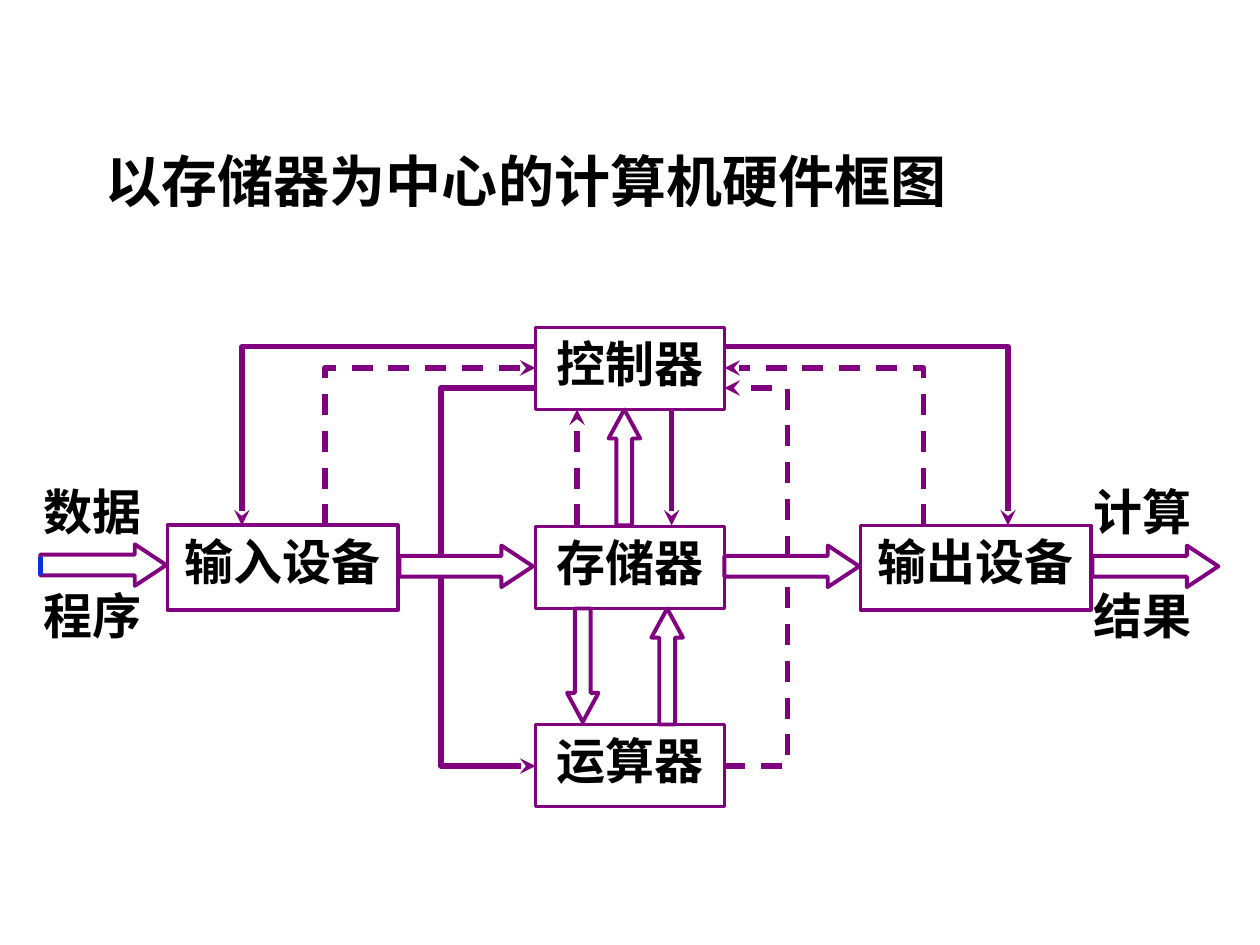
from lxml import etree
from pptx import Presentation
from pptx.dml.color import RGBColor
from pptx.enum.dml import MSO_LINE
from pptx.enum.shapes import MSO_CONNECTOR, MSO_SHAPE
from pptx.enum.text import MSO_ANCHOR, MSO_AUTO_SIZE, PP_ALIGN
from pptx.oxml.ns import qn
from pptx.util import Inches, Pt

THEME = {
    "title_font": "Times New Roman",
    "font": "Noto Sans CJK SC",
    "title_size": 32,
    "size": 28,
    "text": RGBColor(0x00, 0x00, 0x00),
    "line": RGBColor(0x80, 0x00, 0x80),
    "tick": RGBColor(0x00, 0x33, 0xD8),
    "box_line": 2,
    "block_line": 2.25,
    "signal_line": 3,
}

TITLE = ("以存储器为中心的计算机硬件框图", (0.74, 1.11, 6.96, 0.64))

LABELS = [
    ("数据", 0.25, 3.77),
    ("程序", 0.25, 4.6),
    ("计算", 8.58, 3.77),
    ("结果", 8.58, 4.6),
]

UNITS = [
    ("控制器", 4.25, 2.6, 1.5, 0.65, 2),
    ("存储器", 4.25, 4.18, 1.5, 0.65, 2),
    ("运算器", 4.25, 5.75, 1.5, 0.65, 2),
    ("输入设备", 1.33, 4.17, 1.83, 0.67, 2.25),
    ("输出设备", 6.83, 4.17, 1.83, 0.67, 2),
]

DATA_ARROWS = [
    (MSO_SHAPE.RIGHT_ARROW, 0.32, 4.32, 1, 0.33),
    (MSO_SHAPE.RIGHT_ARROW, 3.17, 4.33, 1.06, 0.33),
    (MSO_SHAPE.RIGHT_ARROW, 5.75, 4.33, 1.07, 0.33),
    (MSO_SHAPE.RIGHT_ARROW, 8.67, 4.33, 1, 0.33),
    (MSO_SHAPE.UP_ARROW, 4.83, 3.25, 0.25, 0.92),
    (MSO_SHAPE.UP_ARROW, 5.17, 4.83, 0.25, 0.92),
    (MSO_SHAPE.DOWN_ARROW, 4.5, 4.83, 0.25, 0.9),
]
ARROWHEAD_LENGTH = {MSO_SHAPE.RIGHT_ARROW: 0.25}
VERTICAL_HEAD_LENGTH = 0.23

# points, dashed, arrowhead
SIGNALS = [
    ([(3.5, 4.42), (3.5, 3.08), (4.25, 3.08)], False, False),
    ([(3.5, 4.58), (3.5, 6.08), (4.25, 6.08)], False, True),
    ([(4.58, 4.17), (4.58, 3.25)], True, True),
    ([(5.33, 3.25), (5.33, 4.17)], False, True),
    ([(5.75, 6.08), (6.25, 6.08), (6.25, 4.58)], True, False),
    ([(6.25, 4.42), (6.25, 3.08), (5.75, 3.08)], True, True),
    ([(2.58, 4.17), (2.58, 2.92), (4.25, 2.92)], True, True),
    ([(4.25, 2.75), (1.92, 2.75), (1.92, 4.17)], False, True),
    ([(7.33, 4.17), (7.33, 2.92), (5.75, 2.92)], True, True),
    ([(5.75, 2.75), (8, 2.75), (8, 4.17)], False, True),
]
INPUT_TICK = [(0.32, 4.42), (0.32, 4.56)]


def write(shape, text, font, size, alignment):
    frame = shape.text_frame
    frame.text = text
    frame.word_wrap = False
    frame.auto_size = MSO_AUTO_SIZE.NONE
    frame.vertical_anchor = MSO_ANCHOR.TOP
    paragraph = frame.paragraphs[0]
    paragraph.alignment = alignment
    run_font = paragraph.runs[0].font
    run_font.name = font
    run_font.size = Pt(size)
    run_font.bold = True
    run_font.color.rgb = THEME["text"]
    east_asian = etree.SubElement(run_font._element, qn("a:ea"))
    east_asian.set("typeface", THEME["font"])


def outline(shape, width):
    shape.shadow.inherit = False
    shape.fill.background()
    shape.line.color.rgb = THEME["line"]
    shape.line.width = Pt(width)


def add_title(slide):
    text, position = TITLE
    title = slide.shapes.title
    title.left, title.top, title.width, title.height = map(Inches, position)
    write(title, text, THEME["title_font"], THEME["title_size"], PP_ALIGN.LEFT)


def add_unit(slide, text, left, top, width, height, line_width):
    box = slide.shapes.add_shape(
        MSO_SHAPE.RECTANGLE, *map(Inches, (left, top, width, height)))
    outline(box, line_width)
    write(box, text, THEME["font"], THEME["size"], PP_ALIGN.CENTER)


def add_label(slide, text, left, top):
    label = slide.shapes.add_textbox(*map(Inches, (left, top, 0.98, 0.57)))
    write(label, text, THEME["font"], THEME["size"], PP_ALIGN.LEFT)


def add_data_arrow(slide, kind, left, top, width, height):
    arrow = slide.shapes.add_shape(
        kind, *map(Inches, (left, top, width, height)))
    head = ARROWHEAD_LENGTH.get(kind, VERTICAL_HEAD_LENGTH)
    arrow.adjustments[1] = head / min(width, height)
    outline(arrow, THEME["block_line"])


def add_line(slide, start, end, color):
    connector = slide.shapes.add_connector(
        MSO_CONNECTOR.STRAIGHT, *map(Inches, (*start, *end)))
    connector.line.color.rgb = color
    connector.line.width = Pt(THEME["signal_line"])
    etree.SubElement(connector._element.spPr, qn("a:effectLst"))
    return connector


def add_signal(slide, points, dashed, arrowhead):
    if len(points) == 2:
        signal = add_line(slide, *points, THEME["line"])
    else:
        corners = [tuple(map(Inches, point)) for point in points]
        builder = slide.shapes.build_freeform(*corners[0])
        builder.add_line_segments(corners[1:], close=False)
        signal = builder.convert_to_shape()
        outline(signal, THEME["signal_line"])
    if dashed:
        signal.line.dash_style = MSO_LINE.DASH
    if arrowhead:
        line = signal._element.spPr.find(qn("a:ln"))
        etree.SubElement(line, qn("a:tailEnd")).set("type", "stealth")


def main():
    presentation = Presentation()
    presentation.slide_width = Inches(10)
    presentation.slide_height = Inches(7.5)
    slide = presentation.slides.add_slide(presentation.slide_layouts[5])
    add_title(slide)
    for unit in UNITS:
        add_unit(slide, *unit)
    for arrow in DATA_ARROWS:
        add_data_arrow(slide, *arrow)
    for signal in SIGNALS:
        add_signal(slide, *signal)
    for label in LABELS:
        add_label(slide, *label)
    add_line(slide, *INPUT_TICK, THEME["tick"])
    presentation.save("out.pptx")


if __name__ == "__main__":
    main()
